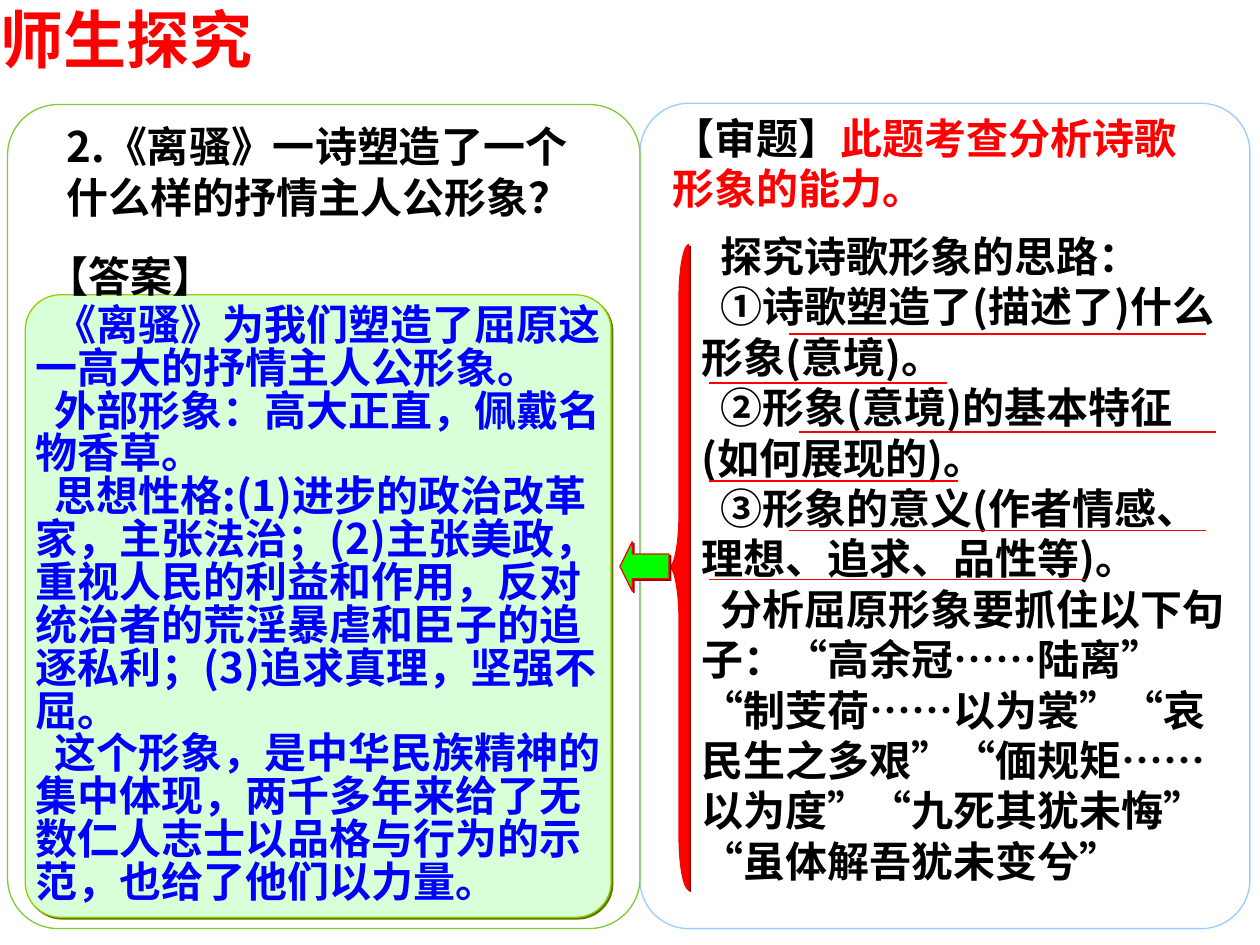
import pptx
import pptx.dml.color
import pptx.enum.lang
import pptx.enum.shapes
import pptx.enum.text
import pptx.oxml
import pptx.oxml.ns
import pptx.util

Inches = pptx.util.Inches
Pt = pptx.util.Pt
SHAPE = pptx.enum.shapes.MSO_SHAPE
ANCHOR = pptx.enum.text.MSO_ANCHOR
CJK_FONT = "Noto Sans CJK SC"
COLORS = {
    "red": "FF0000", "black": "000000", "blue": "0000FF", "sky": "99CCFF",
    "leaf": "80CB35", "mint": "D9FFD9", "lime": "99CC00", "olive": "5B7900",
    "green": "00FF00", "maroon": "980000", "gray": "A0A0A0",
}
FIRST_LINE = 0.15


def rgb(name):
    return pptx.dml.color.RGBColor.from_string(COLORS[name])


def effect_list(shadow=None):
    """Make an effect list, empty or with a hard shadow to the lower right."""
    content = ""
    if shadow:
        content = (f'<a:outerShdw dist="{Pt(1.4)}" dir="2700000" algn="tl" rotWithShape="0">'
                   f'<a:srgbClr val="{COLORS[shadow]}"/></a:outerShdw>')
    return pptx.oxml.parse_xml(
        f'<a:effectLst {pptx.oxml.ns.nsdecls("a")}>{content}</a:effectLst>')


class SlideBuilder:
    def __init__(self, slide):
        self.slide = slide

    def fill_text(self, shape, paragraphs, font="Arial", size=24, shadow="gray",
                  anchor=ANCHOR.TOP, margins=(0.1, 0.05), line_spacing=None):
        """Fill a shape with paragraphs, each (first-line indent, [(text, color)])."""
        frame = shape.text_frame
        across, down = (Inches(margin) for margin in margins)
        frame_format = {
            "word_wrap": True, "auto_size": pptx.enum.text.MSO_AUTO_SIZE.NONE,
            "vertical_anchor": anchor, "margin_left": across, "margin_right": across,
            "margin_top": down, "margin_bottom": down,
        }
        for name, value in frame_format.items():
            setattr(frame, name, value)
        for index, (indent, runs) in enumerate(paragraphs):
            paragraph = frame.add_paragraph() if index else frame.paragraphs[0]
            paragraph.alignment = pptx.enum.text.PP_ALIGN.LEFT
            paragraph.line_spacing = line_spacing
            if indent:
                paragraph._p.get_or_add_pPr().set("indent", str(Inches(indent)))
            for text, color in runs:
                run = paragraph.add_run()
                run.text = text
                run_format = {
                    "name": font, "size": Pt(size), "bold": True,
                    "language_id": pptx.enum.lang.MSO_LANGUAGE_ID.SIMPLIFIED_CHINESE,
                }
                for name, value in run_format.items():
                    setattr(run.font, name, value)
                run.font.color.rgb = rgb(color)
                latin = run._r.rPr.find(pptx.oxml.ns.qn("a:latin"))
                latin.addnext(pptx.oxml.parse_xml(
                    f'<a:ea {pptx.oxml.ns.nsdecls("a")} typeface="{CJK_FONT}"/>'))
                if shadow:
                    latin.addprevious(effect_list(shadow))

    def title(self, box, text, color):
        shape = self.slide.shapes.title
        for name, value in zip(("left", "top", "width", "height"), box):
            setattr(shape, name, Inches(value))
        self.fill_text(shape, [(0, [(text, color)])], size=36, margins=(0, 0))

    def text(self, box, paragraphs, **style):
        shape = self.slide.shapes.add_textbox(*map(Inches, box))
        self.fill_text(shape, paragraphs, **style)

    def shape(self, kind, box, line, fill=None, shadow=None, adjustments=()):
        shape = self.slide.shapes.add_shape(kind, *map(Inches, box))
        for index, value in enumerate(adjustments):
            shape.adjustments[index] = value
        if fill:
            shape.fill.solid()
            shape.fill.fore_color.rgb = rgb(fill)
        else:
            shape.fill.background()
        shape.line.color.rgb = rgb(line)
        shape.line.width = Pt(0.75)
        if shadow:
            shape._element.spPr.append(effect_list(shadow))
        else:
            shape.shadow.inherit = False
        return shape

    def underline(self, start, end, y):
        line = self.slide.shapes.add_connector(
            pptx.enum.shapes.MSO_CONNECTOR.STRAIGHT,
            Inches(start), Inches(y), Inches(end), Inches(y))
        line.line.color.rgb = rgb("red")
        line.line.width = Pt(1)
        line._element.spPr.append(effect_list())


def main():
    presentation = pptx.Presentation()
    presentation.slide_width, presentation.slide_height = Inches(10), Inches(7.5)
    builder = SlideBuilder(presentation.slides.add_slide(presentation.slide_layouts[5]))

    # Title and the two panels
    builder.title((0, 0, 3.35, 0.6), "师生探究", "red")
    builder.shape(SHAPE.ROUNDED_RECTANGLE, (5.08, 0.82, 4.84, 6.55), "sky", adjustments=[0.08])
    builder.shape(SHAPE.ROUNDED_RECTANGLE, (0.06, 0.83, 5.02, 6.54), "leaf", adjustments=[0.08])

    # Question and answer
    builder.text((0.43, 0.91, 4.49, 0.9),
                 [(0, [("2.《离骚》一诗塑造了一个什么样的抒情主人公形象？", "black")])],
                 font=CJK_FONT, anchor=ANCHOR.MIDDLE)
    answer_box = builder.shape(SHAPE.ROUNDED_RECTANGLE, (0.2, 2.34, 4.65, 4.94), "lime",
                               fill="mint", shadow="olive", adjustments=[0.06])
    answers = [
        "《离骚》为我们塑造了屈原这一高大的抒情主人公形象。",
        "外部形象：高大正直，佩戴名物香草。",
        "思想性格:(1)进步的政治改革家，主张法治；(2)主张美政，重视人民的利益和作用，"
        "反对统治者的荒淫暴虐和臣子的追逐私利；(3)追求真理，坚强不屈。",
        "这个形象，是中华民族精神的集中体现，两千多年来给了无数仁人志士以品格与行为的示范，"
        "也给了他们以力量。",
    ]
    builder.fill_text(answer_box, [(FIRST_LINE, [(answer, "blue")]) for answer in answers],
                      font=CJK_FONT, shadow=None, anchor=ANCHOR.MIDDLE,
                      margins=(0, 0), line_spacing=0.85)
    builder.text((0.27, 1.94, 1.57, 0.5), [(0, [("【答案】", "black")])])

    # Analysis of the question
    builder.text((5.24, 0.84, 4.41, 0.9),
                 [(0, [("【审题】", "black"), ("此题考查分析诗歌形象的能力。", "red")])])
    steps = [
        (FIRST_LINE, "探究诗歌形象的思路："),
        (FIRST_LINE, "①诗歌塑造了(描述了)什么形象(意境)。"),
        (FIRST_LINE, "②形象(意境)的基本特征"),
        (0, "(如何展现的)。"),
        (FIRST_LINE, "③形象的意义(作者情感、理想、追求、品性等)。"),
        (FIRST_LINE, "分析屈原形象要抓住以下句子：“高余冠……陆离”"),
        (0, "“制芰荷……以为裳”“哀民生之多艰”“偭规矩……以为度”“九死其犹未悔”"),
        (0, "“虽体解吾犹未变兮”"),
    ]
    builder.text((5.47, 1.78, 4.41, 5.3),
                 [(indent, [(step, "black")]) for indent, step in steps],
                 font=CJK_FONT, anchor=ANCHOR.MIDDLE)

    # Brace and arrow leading to the answer
    builder.shape(SHAPE.LEFT_BRACE, (5.31, 1.94, 0.16, 5.12), "red",
                  fill="red", shadow="maroon", adjustments=[2.67, 0.5])
    builder.shape(SHAPE.LEFT_ARROW, (4.92, 4.3, 0.39, 0.39), "red",
                  fill="green", shadow="maroon", adjustments=[0.5, 0.25])

    # Underlines, one for each text line
    spans = [(6.26, 9.57), (5.63, 7.52), (6.34, 9.65),
             (5.63, 7.6), (6.26, 9.57), (5.63, 8.62)]
    for row, (start, end) in enumerate(spans):
        builder.underline(start, end, 2.65 + 0.39 * row)

    presentation.save("out.pptx")


if __name__ == "__main__":
    main()
